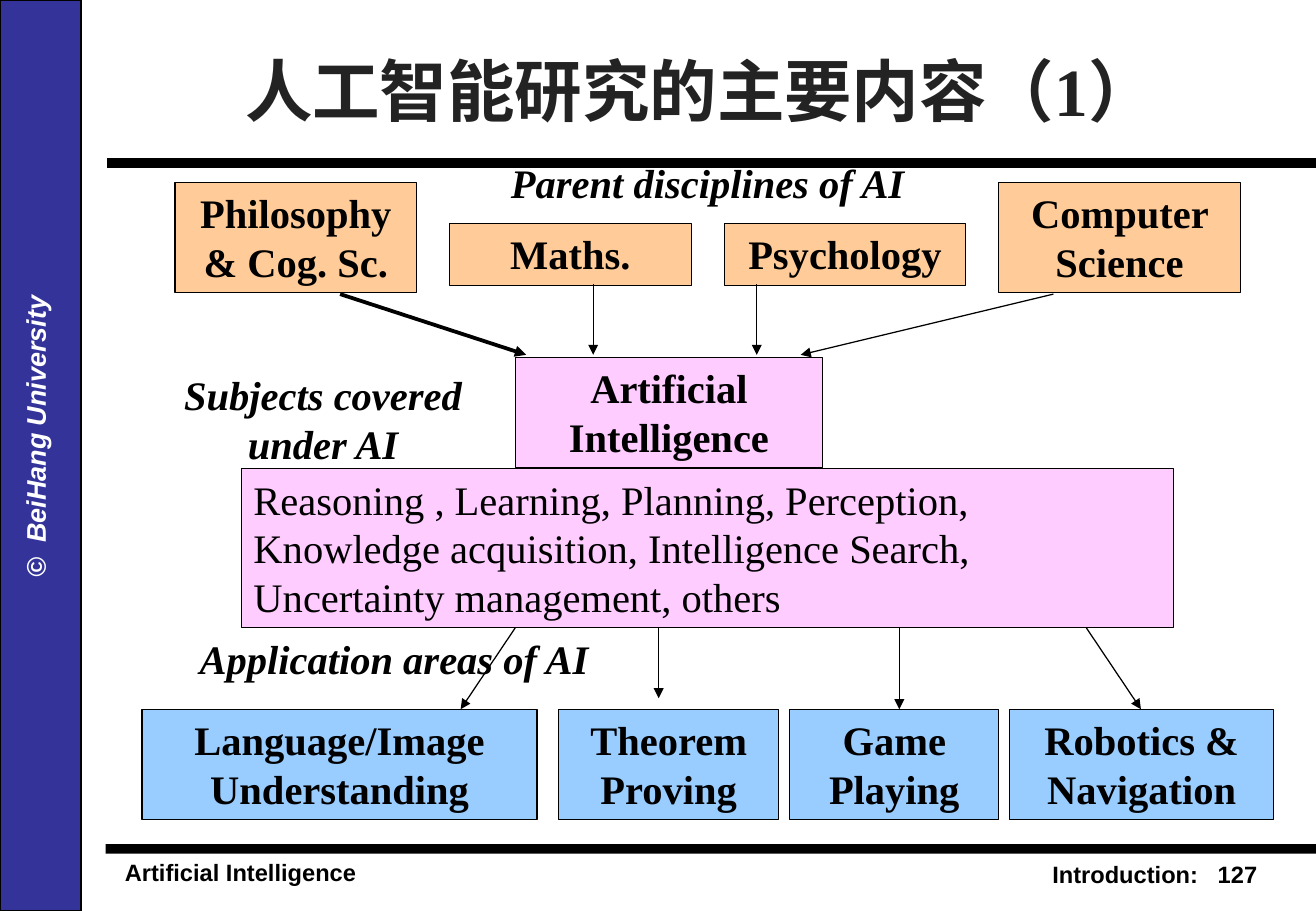
from lxml import etree
from pptx import Presentation
from pptx.dml.color import RGBColor
from pptx.enum.shapes import MSO_CONNECTOR as Connector, MSO_SHAPE as Shape
from pptx.enum.text import MSO_ANCHOR as Anchor, PP_ALIGN as Align
from pptx.oxml.ns import qn
from pptx.util import Cm, Pt

SLIDE_WIDTH, SLIDE_HEIGHT = 27.51, 19.05
BLACK, WHITE = "000000", "FFFFFF"
PEACH, PINK, SKY, NAVY = "FFCC99", "FFCCFF", "99CCFF", "333399"


def color(hex_code):
    return RGBColor.from_string(hex_code)


def write(frame, text, *, size=24, font="Times New Roman", ink=BLACK, bold=True,
          italic=False, align=Align.CENTER, anchor=Anchor.TOP, wrap=True):
    frame.word_wrap = wrap
    frame.vertical_anchor = anchor
    paragraph = frame.paragraphs[0]
    paragraph.alignment = align
    run = paragraph.add_run()
    run.text = text
    run.font.name = font
    run.font.size = Pt(size)
    run.font.bold = bold
    run.font.italic = italic
    run.font.color.rgb = color(ink)


class Diagram:
    def __init__(self, slide, line_width=0.75):
        self.shapes = slide.shapes
        self.line_width = line_width

    def label(self, text, left, top, width, height, rotation=0, **style):
        label = self.shapes.add_textbox(Cm(left), Cm(top), Cm(width), Cm(height))
        label.rotation = rotation
        write(label.text_frame, text, **style)

    def box(self, left, top, width, height, fill, text=None, line_width=None, **style):
        box = self.shapes.add_shape(Shape.RECTANGLE, Cm(left), Cm(top), Cm(width), Cm(height))
        box.shadow.inherit = False
        box.fill.solid()
        box.fill.fore_color.rgb = color(fill)
        if line_width == 0:
            box.line.fill.background()
        else:
            box.line.color.rgb = color(BLACK)
            box.line.width = Pt(line_width or self.line_width)
        if text:
            write(box.text_frame, text, **style)

    def line(self, x1, y1, x2, y2, width=None, arrow=True):
        line = self.shapes.add_connector(Connector.STRAIGHT, Cm(x1), Cm(y1), Cm(x2), Cm(y2))
        line.line.color.rgb = color(BLACK)
        line.line.width = Pt(width or self.line_width)
        if arrow:
            etree.SubElement(line.line._get_or_add_ln(), qn("a:tailEnd"), type="triangle")
        etree.SubElement(line._element.spPr, qn("a:effectLst"))


def draw_frame(diagram):
    footer = dict(size=14, font="Arial")
    diagram.label("Artificial Intelligence", 2.36, 17.81, 5.51, 0.84,
                  align=Align.LEFT, wrap=False, **footer)
    diagram.label("Introduction:\u00a0\u00a0 127".replace("\u00a0", " "), 18.36, 17.86, 8.18, 0.84,
                  align=Align.RIGHT, **footer)
    diagram.box(2.21, 17.65, 25.3, 0.2, BLACK, line_width=0)
    diagram.box(0, 0, 1.7, SLIDE_HEIGHT, NAVY, line_width=1)
    diagram.line(2.24, 3.4, SLIDE_WIDTH, 3.4, width=6, arrow=False)
    diagram.label("©  BeiHang University", -8.38, 8.66, 18.24, 0.94, rotation=270,
                  size=16, font="Arial", ink=WHITE, italic=True)
    diagram.label("人工智能研究的主要内容（1）", 2.97, 0.56, 23.34, 2.62,
                  size=40, ink="232323", anchor=Anchor.MIDDLE)


def draw_disciplines(diagram):
    diagram.label("Parent disciplines of AI", 7.11, 3.18, 15.37, 1.27, italic=True)
    tall, short = (3.81, 2.31), (4.67, 1.3)
    disciplines = [("Philosophy & Cog. Sc.", tall), ("Maths.", short),
                   ("Psychology", short), ("Computer Science", tall)]
    for index, (discipline, (top, height)) in enumerate(disciplines):
        diagram.box(3.66 + 5.74 * index, top, 5.05, height, PEACH, discipline)
    for x1, y1, x2, width in [(7.11, 6.15, 11, 2.25), (12.4, 5.94, 12.4, None),
                              (15.82, 5.94, 15.82, None), (22.02, 6.15, 16.74, None)]:
        diagram.line(x1, y1, x2, 7.42, width)


def draw_subjects(diagram):
    diagram.box(10.77, 7.47, 6.43, 2.31, PINK, "Artificial Intelligence")
    diagram.box(5.05, 9.8, 19.48, 3.33, PINK,
                "Reasoning , Learning, Planning, Perception, Knowledge acquisition, "
                "Intelligence Search, Uncertainty management, others",
                bold=False, align=Align.LEFT)
    diagram.label("Subjects covered under AI", 3.2, 7.62, 7.11, 2.29, italic=True)


def draw_applications(diagram):
    for application, left, width in [("Language/Image Understanding", 2.97, 8.26),
                                     ("Theorem Proving", 11.68, 4.6),
                                     ("Game Playing", 16.51, 4.37),
                                     ("Robotics & Navigation", 21.11, 5.51)]:
        diagram.box(left, 14.83, width, 2.31, SKY, application)
    for x1, x2, y2 in [(10.77, 9.63, 14.83), (13.77, 13.77, 14.6),
                       (18.8, 18.8, 14.83), (22.71, 23.85, 14.83)]:
        diagram.line(x1, 13.13, x2, y2)
    diagram.label("Application areas of AI", 2.97, 13.13, 10.54, 1.27, italic=True)


def main():
    deck = Presentation()
    deck.slide_width, deck.slide_height = Cm(SLIDE_WIDTH), Cm(SLIDE_HEIGHT)
    diagram = Diagram(deck.slides.add_slide(deck.slide_layouts[6]))
    draw_frame(diagram)
    draw_disciplines(diagram)
    draw_subjects(diagram)
    draw_applications(diagram)
    deck.save("out.pptx")


if __name__ == "__main__":
    main()
